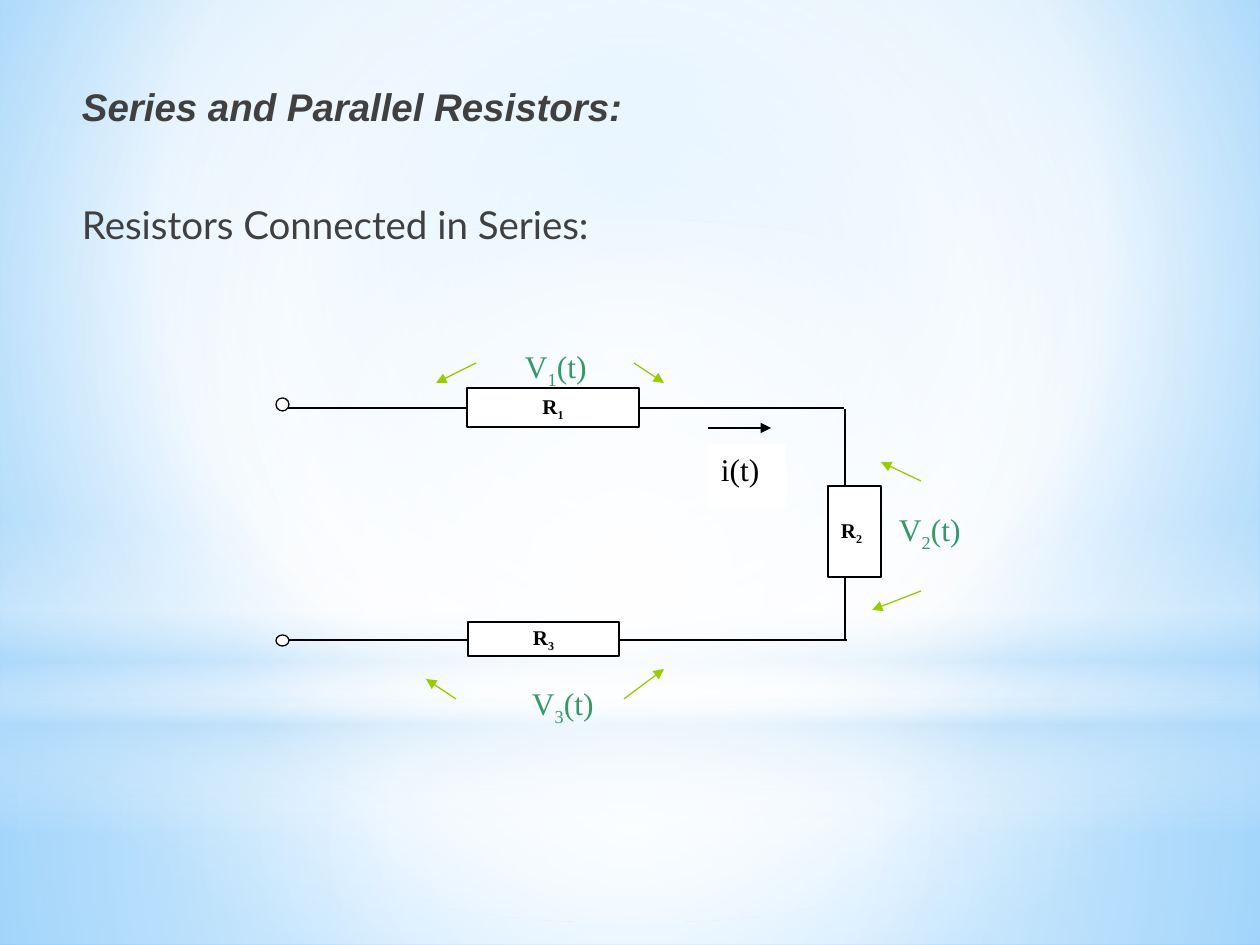
from lxml import etree
from pptx import Presentation
from pptx.dml.color import RGBColor
from pptx.enum.shapes import MSO_CONNECTOR, MSO_SHAPE
from pptx.enum.text import MSO_ANCHOR, PP_ALIGN
from pptx.oxml.ns import nsdecls, qn
from pptx.oxml import parse_xml
from pptx.util import Pt

PX = 914400 // 126
RECT, OVAL, LINE = MSO_SHAPE.RECTANGLE, MSO_SHAPE.OVAL, MSO_CONNECTOR.STRAIGHT
TOP, MID = MSO_ANCHOR.TOP, MSO_ANCHOR.MIDDLE
LEFT, CENTER = PP_ALIGN.LEFT, PP_ALIGN.CENTER
SERIF = "Times New Roman"
HEX = {"ink": "000000", "text": "404040", "volt": "339966", "arrow": "99CC00",
       "white": "FFFFFF", "pale": "B4DCFA", "sky": "9ED5FF", "blue": "5BB9FF"}
RGB = {name: RGBColor.from_string(code) for name, code in HEX.items()}


def shade(fill, root, stops, end):
    """Gradient from (place, colour, opacity) stops; end is an angle or a focus box."""
    fill.gradient()
    old = next(root.iter(qn("a:gradFill")))
    marks = "".join(
        f'<a:gs pos="{pos * 1000}"><a:srgbClr val="{HEX[name]}">'
        f'<a:alpha val="{alpha * 1000}"/></a:srgbClr></a:gs>'
        for pos, name, alpha in stops)
    if isinstance(end, int):
        way = f'<a:lin ang="{end * 60000}" scaled="0"/>'
    else:
        box = " ".join(f'{side}="{n * 1000}"' for side, n in zip("ltrb", end))
        way = f'<a:path path="circle"><a:fillToRect {box}/></a:path>'
    new = parse_xml(f'<a:gradFill {nsdecls("a")} rotWithShape="1">'
                    f'<a:gsLst>{marks}</a:gsLst>{way}</a:gradFill>')
    old.getparent().replace(old, new)


def write(shape, parts, size, color, bold=False, align=LEFT, anchor=TOP):
    """One line of serif text; the second part is a subscript."""
    frame = shape.text_frame
    frame.word_wrap = True
    frame.vertical_anchor = anchor
    frame.margin_left = frame.margin_right = 13 * PX
    frame.margin_top = frame.margin_bottom = 6 * PX
    para = frame.paragraphs[0]
    para.alignment = align
    font = para.font
    font.name, font.size, font.bold = SERIF, Pt(size), bold
    font.color.rgb = RGB[color]
    for i, part in enumerate(parts):
        run = para.add_run()
        run.text = part
        if i == 1:
            run._r.get_or_add_rPr().set("baseline", "-25000")


prs = Presentation()
prs.slide_width, prs.slide_height = 1260 * PX, 945 * PX
slide = prs.slides.add_slide(prs.slide_layouts[6])
shapes = slide.shapes

# Background and its soft light bands
back = slide.background.fill
shade(back, slide._element,
      [(0, "sky", 100), (60, "white", 100), (100, "blue", 100)], (20, 10, 20, 60))
focus = (50, 50, 50, 50)
bands = [
    (RECT, 703, 242, [(0, "white", 91), (37, "white", 76), (100, "pale", 79)], focus),
    (RECT, 0, 703, [(0, "white", 89), (48, "white", 62), (100, "pale", 79)], focus),
    (RECT, 519, 315, [(0, "white", 0), (29, "white", 30), (45, "pale", 40),
                      (55, "white", 26), (65, "pale", 60), (100, "white", 0)], 90),
    (OVAL, 220, 703, [(0, "white", 100), (56, "white", 0)], focus),
]
for kind, y, h, stops, end in bands:
    band = shapes.add_shape(kind, 0, y * PX, 1260 * PX, h * PX)
    band.shadow.inherit = False
    band.line.fill.background()
    shade(band.fill, band._element, stops, end)

# Headings
body = shapes.add_textbox(63 * PX, 83 * PX, 1155 * PX, 170 * PX).text_frame
body.word_wrap = True
body.margin_left, body.margin_top = 19 * PX, 0
heads = [("Series and Parallel Resistors:", "Arial", True, 0),
         ("Resistors Connected in Series:", "Lato", False, 41)]
for i, (text, face, strong, gap) in enumerate(heads):
    para = body.add_paragraph() if i else body.paragraphs[0]
    para.text = text
    para.space_before = Pt(gap)
    font = para.font
    font.name, font.size, font.bold, font.italic = face, Pt(22), strong, strong
    font.color.rgb = RGB["text"]

# Wires, then the current and voltage arrows
wires = [(282, 408, 844, 408), (845, 409, 845, 641), (285, 640, 847, 640)]
flow = [(708, 428, 771, 428)]
volts = [(476, 363, 436, 383), (634, 363, 664, 383), (624, 699, 664, 669),
         (456, 699, 426, 679), (921, 481, 881, 462), (921, 591, 872, 610)]
for group, color, tip in [(wires, "ink", False), (flow, "ink", True),
                          (volts, "arrow", True)]:
    for ends in group:
        line = shapes.add_connector(LINE, *(n * PX for n in ends))
        line.line.width = Pt(0.75)
        line.line.color.rgb = RGB[color]
        etree.SubElement(line._element.spPr, qn("a:effectLst"))
        if tip:
            etree.SubElement(line.line._get_or_add_ln(), qn("a:tailEnd"), type="triangle")

# Resistors, terminals and the current label
parts = [
    (RECT, 468, 622, 151, 34, ("R", "3"), CENTER),
    (RECT, 467, 388, 172, 39, ("R", "1"), CENTER),
    (RECT, 828, 486, 53, 91, ("R", "2"), LEFT),
    (OVAL, 276, 398, 13, 13, (), CENTER),
    (OVAL, 276, 635, 13, 11, (), CENTER),
    (RECT, 708, 444, 78, 63, ("i(t)",), LEFT),
]
for kind, x, y, w, h, label, align in parts:
    part = shapes.add_shape(kind, x * PX, y * PX, w * PX, h * PX)
    part.shadow.inherit = False
    part.fill.solid()
    part.fill.fore_color.rgb = RGB["white"]
    if len(label) == 1:
        part.line.fill.background()
        write(part, label, 18, "ink")
        continue
    part.line.width = Pt(0.75)
    part.line.color.rgb = RGB["ink"]
    if label:
        write(part, label, 12, "ink", True, align, MID)

# Voltage labels
for sub, x, y, w in [("1", 512, 341, 102), ("3", 519, 678, 112), ("2", 886, 504, 106)]:
    box = shapes.add_textbox(x * PX, y * PX, w * PX, 43 * PX)
    write(box, ("V", sub, "(t)"), 18, "volt")

prs.save("out.pptx")
